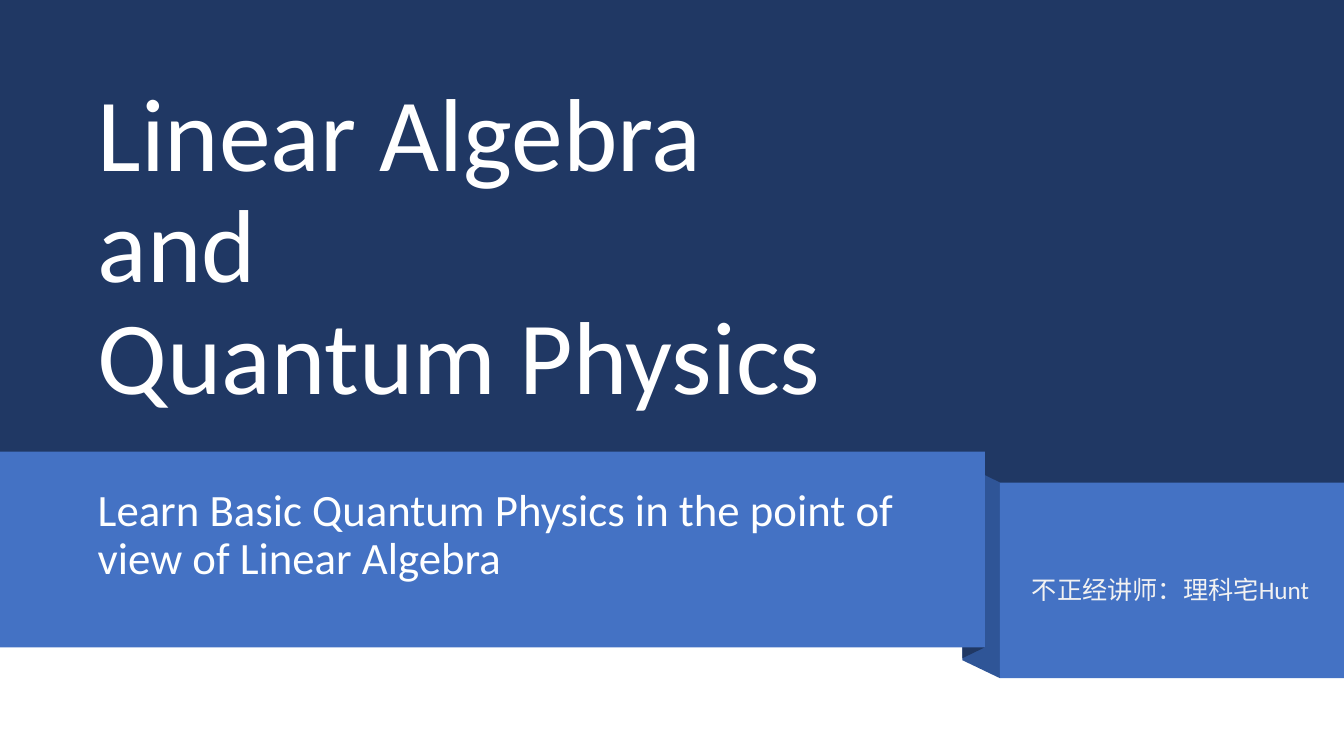
from pptx import Presentation
from pptx.dml.color import RGBColor
from pptx.enum.shapes import MSO_SHAPE as Preset
from pptx.enum.text import MSO_ANCHOR as Anchor, MSO_AUTO_SIZE as AutoSize, PP_ALIGN as Align
from pptx.util import Pt

COLORS = {"navy": "203864", "fold": "2F5597", "ribbon": "4472C4",
          "title": "FFFFFF", "subtitle": "FEFFFF", "lecturer": "F2F2F2"}


class Cover:
    """Holds the style and the current slide, and adds elements in points."""

    def __init__(self, slide, font="Calibri"):
        self.slide, self.font = slide, font

    def paint(self, shape, color):
        shape.fill.solid()
        shape.fill.fore_color.rgb = RGBColor.from_string(COLORS[color])
        shape.line.fill.background()
        shape.shadow.inherit = False

    def panel(self, box, color):
        self.paint(self.slide.shapes.add_shape(Preset.RECTANGLE, *map(Pt, box)), color)

    def fold(self, corners, color):
        start, *rest = [(Pt(x), Pt(y)) for x, y in corners]
        outline = self.slide.shapes.build_freeform(*start)
        outline.add_line_segments(rest, close=True)
        self.paint(outline.convert_to_shape(), color)

    def set_text(self, holder, text, size, color, anchor=Anchor.TOP, **spacing):
        frame = holder.text_frame
        frame.text = text
        paragraph = frame.paragraphs[0]
        formats = [
            (frame, {"word_wrap": True, "auto_size": AutoSize.NONE, "vertical_anchor": anchor}),
            (paragraph, {"alignment": Align.LEFT, **spacing}),
        ]
        for run in paragraph.runs:
            formats.append((run.font, {"name": self.font, "size": Pt(size), "bold": False}))
            run.font.color.rgb = RGBColor.from_string(COLORS[color])
        for target, values in formats:
            for name, value in values.items():
                setattr(target, name, value)

    def placeholder(self, index, box, *content, **spacing):
        holder = self.slide.placeholders[index]
        for name, value in zip(("left", "top", "width", "height"), box):
            setattr(holder, name, Pt(value))
        tree = self.slide.shapes.element
        tree.remove(holder.element)
        tree.append(holder.element)
        self.set_text(holder, *content, **spacing)

    def label(self, box, *content):
        self.set_text(self.slide.shapes.add_textbox(*map(Pt, box)), *content)


WIDTH, HEIGHT = 960, 540
deck = Presentation()
deck.slide_width, deck.slide_height = Pt(WIDTH), Pt(HEIGHT)
cover = Cover(deck.slides.add_slide(deck.slide_layouts[0]))

ribbon_top, ribbon_right, ribbon_height = 322.7, 703.5, 139.7
tag_left, tag_top = 714.2, 344.7
fold_left, fold_top = 687.4, 331.4
tag_bottom = tag_top + ribbon_height
ribbon_bottom = ribbon_top + ribbon_height

cover.panel((0, 0, WIDTH, 358.6), "navy")
cover.placeholder(0, (62.6, 50.4, 651.6, 251.3),
                  "Linear Algebra\vand\vQuantum Physics", 74, "title", Anchor.BOTTOM,
                  line_spacing=0.9)
cover.fold([(tag_left, tag_bottom), (fold_left, 471.6), (fold_left, fold_top),
            (tag_left, tag_top)], "fold")
cover.fold([(ribbon_right, ribbon_bottom), (fold_left, 470.2), (fold_left, 330),
            (ribbon_right, ribbon_top)], "navy")
cover.panel((0, ribbon_top, ribbon_right, ribbon_height), "ribbon")
cover.placeholder(1, (62.6, tag_top, 627.8, 100.8),
                  "Learn Basic Quantum Physics in the point of view of Linear Algebra",
                  32, "subtitle", line_spacing=0.9, space_before=Pt(10))
cover.panel((tag_left, tag_top, WIDTH - tag_left, ribbon_height), "ribbon")
cover.label((730.1, 406.8, 221, 29), "不正经讲师：理科宅Hunt", 18, "lecturer")

deck.save("out.pptx")
